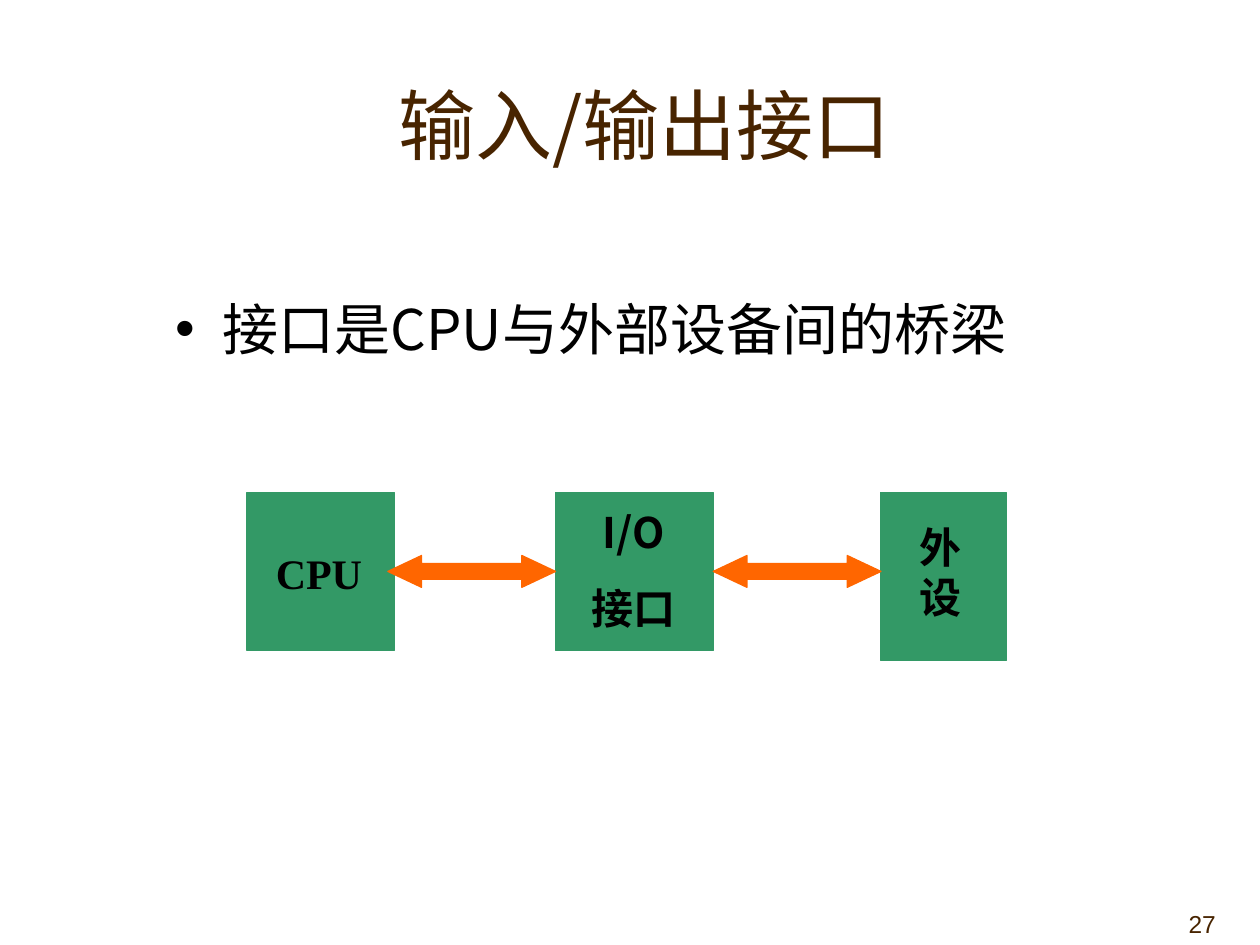
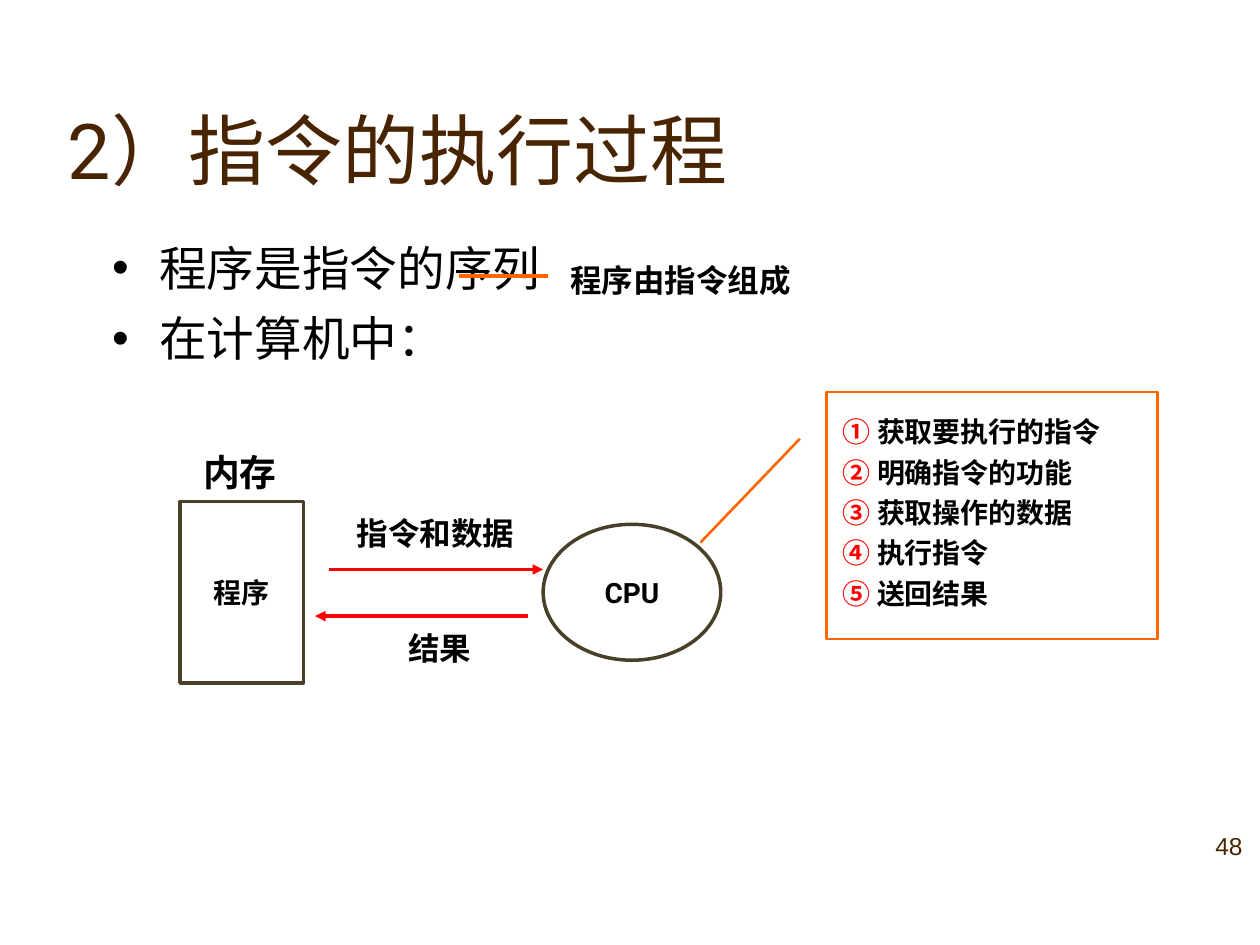
from lxml.etree import SubElement
from pptx import Presentation
from pptx.dml.color import RGBColor
from pptx.enum.shapes import MSO_CONNECTOR, MSO_SHAPE
from pptx.enum.text import MSO_ANCHOR as ANCHOR, PP_ALIGN as ALIGN
from pptx.oxml.ns import qn
from pptx.util import Cm, Pt

# Shared look
CJK, LATIN, SERIF, NUMBER = "Noto Sans CJK SC", "Roboto", "Times New Roman", "Arial"
BROWN, BLACK, GREEN = "482400", "000000", "339966"
ORANGE, RED, OLIVE = "FF6600", "FF0000", "49402A"
LINE_HEIGHT = 1.2  # line pitch as a multiple of the text size

TITLE = dict(size=44, color=BROWN, anchor=ANCHOR.BOTTOM)
PAGE = dict(size=14, color=BROWN, font=NUMBER, align=ALIGN.RIGHT, anchor=ANCHOR.BOTTOM)
LABEL = dict(bold=True, align=ALIGN.CENTER)


def rgb(code):
    return RGBColor.from_string(code)


def add_run(p, text, **fmt):
    r = p.add_run()
    r.text = text
    font = dict(name=fmt["font"], size=Pt(fmt["size"]), bold=fmt["bold"])
    for key, value in font.items():
        setattr(r.font, key, value)
    r.font.color.rgb = rgb(fmt["color"])
    SubElement(r.font._element, qn("a:ea"), typeface=CJK)


def add_bullet(p):
    pPr = p._p.get_or_add_pPr()
    pPr.set("marL", str(Cm(0.95)))
    pPr.set("indent", str(-Cm(0.95)))
    color = SubElement(pPr, qn("a:buClr"))
    SubElement(color, qn("a:srgbClr"), val=BLACK)
    SubElement(pPr, qn("a:buFont"), typeface=NUMBER)
    SubElement(pPr, qn("a:buChar"), char="•")


def write(sp, paragraphs, size, color=BLACK, font=CJK, bold=False, align=ALIGN.LEFT,
          anchor=ANCHOR.TOP, spacing=1, before=0, bullet=False, wrap=True):
    """Fill a shape; each paragraph is a list of (text, changed format) runs."""
    tf = sp.text_frame
    tf.word_wrap, tf.vertical_anchor = wrap, anchor
    base = dict(size=size, color=color, font=font, bold=bold)
    for i, runs in enumerate(paragraphs):
        p = tf.add_paragraph() if i else tf.paragraphs[0]
        if bullet:
            add_bullet(p)
        layout = dict(alignment=align, line_spacing=Pt(size * LINE_HEIGHT * spacing),
                      space_before=Pt(before if i else 0))
        for key, value in layout.items():
            setattr(p, key, value)
        for text, change in runs:
            add_run(p, text, **{**base, **change})


def plain(*lines):
    return [[(line, {})] for line in lines]


def add_text(s, box, paragraphs, **fmt):
    write(s.shapes.add_textbox(*map(Cm, box)), paragraphs, **fmt)


def add_shape(s, kind, box, line, width, fill=None, adjustments=()):
    sp = s.shapes.add_shape(kind, *map(Cm, box))
    sp.shadow.inherit = False
    if fill:
        sp.fill.solid()
        sp.fill.fore_color.rgb = rgb(fill)
    else:
        sp.fill.background()
    sp.line.color.rgb = rgb(line)
    sp.line.width = Pt(width)
    for i, value in enumerate(adjustments):
        sp.adjustments[i] = value
    return sp


def add_line(s, x1, x2, y, color, arrow=False):
    cxn = s.shapes.add_connector(MSO_CONNECTOR.STRAIGHT, Cm(x1), Cm(y), Cm(x2), Cm(y))
    cxn.line.color.rgb = rgb(color)
    cxn.line.width = Pt(2)
    if arrow:
        SubElement(cxn.line._get_or_add_ln(), qn("a:tailEnd"), type="triangle")
    SubElement(cxn._element.spPr, qn("a:effectLst"))


def io_interface_slide(s):
    add_text(s, (19.48, 17.78, 5.28, 1.27), plain("27"), **PAGE)
    add_text(s, (4.01, 0.58, 17.96, 2.97), plain("输入/输出接口"), align=ALIGN.CENTER, **TITLE)
    add_text(s, (3.28, 5.82, 18.5, 3.07), plain("接口是CPU与外部设备间的桥梁"),
             size=32, bullet=True)

    # Blocks and their captions
    for x, w, h in ((4.98, 2.97, 3.18), (11.2, 3.18, 3.18), (17.75, 2.54, 3.38)):
        add_shape(s, MSO_SHAPE.RECTANGLE, (x, 9.93, w, h), GREEN, 0.75, GREEN)
    add_text(s, (5.31, 10.92, 2.31, 1.27), plain("CPU"), size=24, font=SERIF, bold=True)
    add_text(s, (11.51, 10.08, 2.54, 2.82), plain("I/O", "接口"), size=24, before=15, **LABEL)
    add_text(s, (18.29, 10.39, 1.63, 2.29), plain("外设"), size=24, font=SERIF, bold=True)

    # Two-way arrows
    for x in (7.82, 14.38):
        add_shape(s, MSO_SHAPE.LEFT_RIGHT_ARROW, (x, 11.2, 3.38, 0.64), ORANGE, 0.75,
                  ORANGE, (0.5, 1.06))


def instruction_slide(s):
    add_text(s, (2.01, 4.8, 9.4, 3.73), plain("程序是指令的序列", "在计算机中："),
             size=27.2, spacing=0.9, before=10.9, bullet=True)
    add_text(s, (20.02, 16.38, 5.28, 1.09), plain("48"), **PAGE)
    add_text(s, (1.12, 1.9, 22.2, 2.16),
             [[("2）", dict(font=LATIN)), ("指令的执行过程", dict(font=SERIF))]], **TITLE)

    # Remark on the first bullet
    add_line(s, 9.25, 11.05, 5.56, ORANGE)
    add_text(s, (11.25, 4.98, 6.17, 1.17), plain("程序由指令组成"),
             size=18, bold=True, spacing=1.2)

    # Memory and CPU
    for kind, box, text, font in (
            (MSO_SHAPE.RECTANGLE, (3.63, 10.11, 2.49, 3.66), "程序", CJK),
            (MSO_SHAPE.OVAL, (10.95, 10.57, 3.58, 2.74), "CPU", LATIN)):
        write(add_shape(s, kind, box, OLIVE, 2), plain(text), size=16, font=font,
              anchor=ANCHOR.MIDDLE, wrap=False, **LABEL)
    add_text(s, (3.63, 8.94, 2.41, 1.14), plain("内存"), size=21, **LABEL)

    # Traffic between them
    add_line(s, 6.63, 10.95, 11.48, RED, arrow=True)
    add_line(s, 10.64, 6.35, 12.42, RED, arrow=True)
    add_text(s, (6.73, 10.24, 4.09, 1.02), plain("指令和数据"), size=18, **LABEL)
    add_text(s, (7.37, 12.55, 3, 1.02), plain("结果"), size=18, **LABEL)

    # Steps in the callout
    steps = ("获取要执行的指令", "明确指令的功能", "获取操作的数据", "执行指令", "送回结果")
    add_text(s, (16.74, 8.1, 6.6, 4.32),
             [[(f"{mark} ", dict(color=RED)), (step, {})] for mark, step in zip("①②③④⑤", steps)],
             size=16, bold=True, align=ALIGN.JUSTIFY, spacing=1.2)
    add_shape(s, MSO_SHAPE.LINE_CALLOUT_1, (16.66, 7.9, 6.68, 4.98), ORANGE, 1.5,
              adjustments=(0.19, -0.08, 0.61, -0.38))


def main():
    prs = Presentation()
    prs.slide_width, prs.slide_height = Cm(25.4), Cm(19.05)
    for build in (io_interface_slide, instruction_slide):
        build(prs.slides.add_slide(prs.slide_layouts[6]))
    prs.save("out.pptx")


if __name__ == "__main__":
    main()
